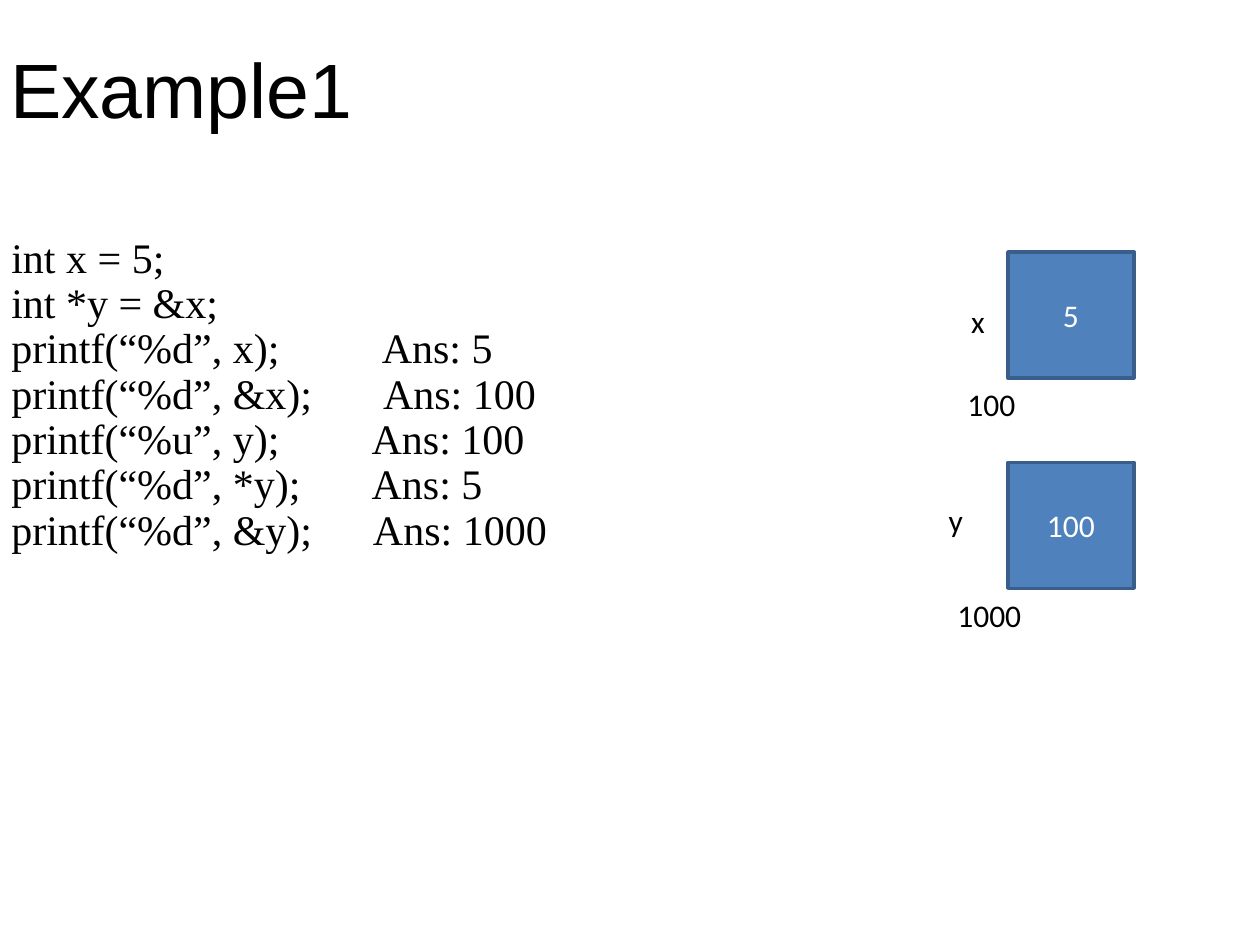
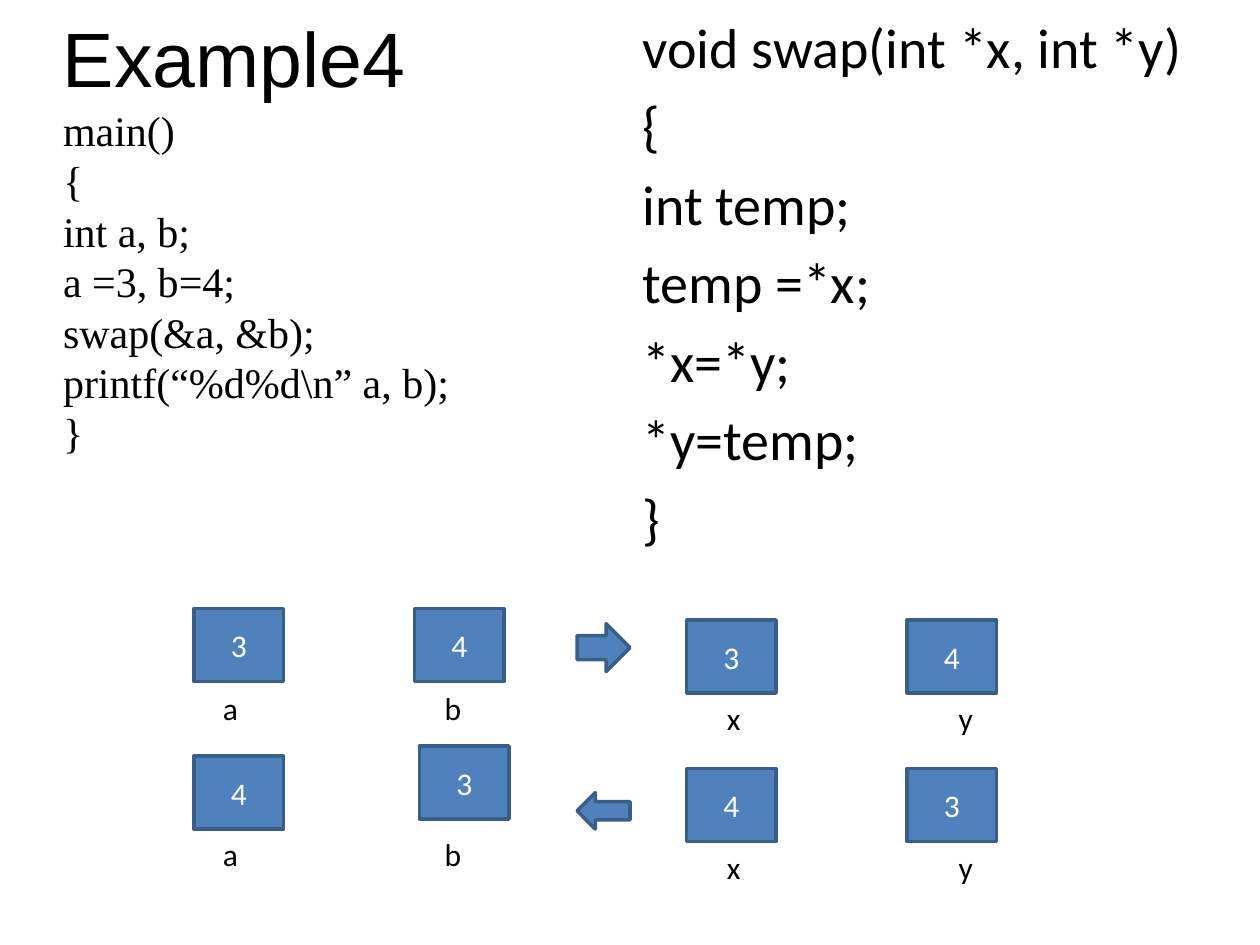
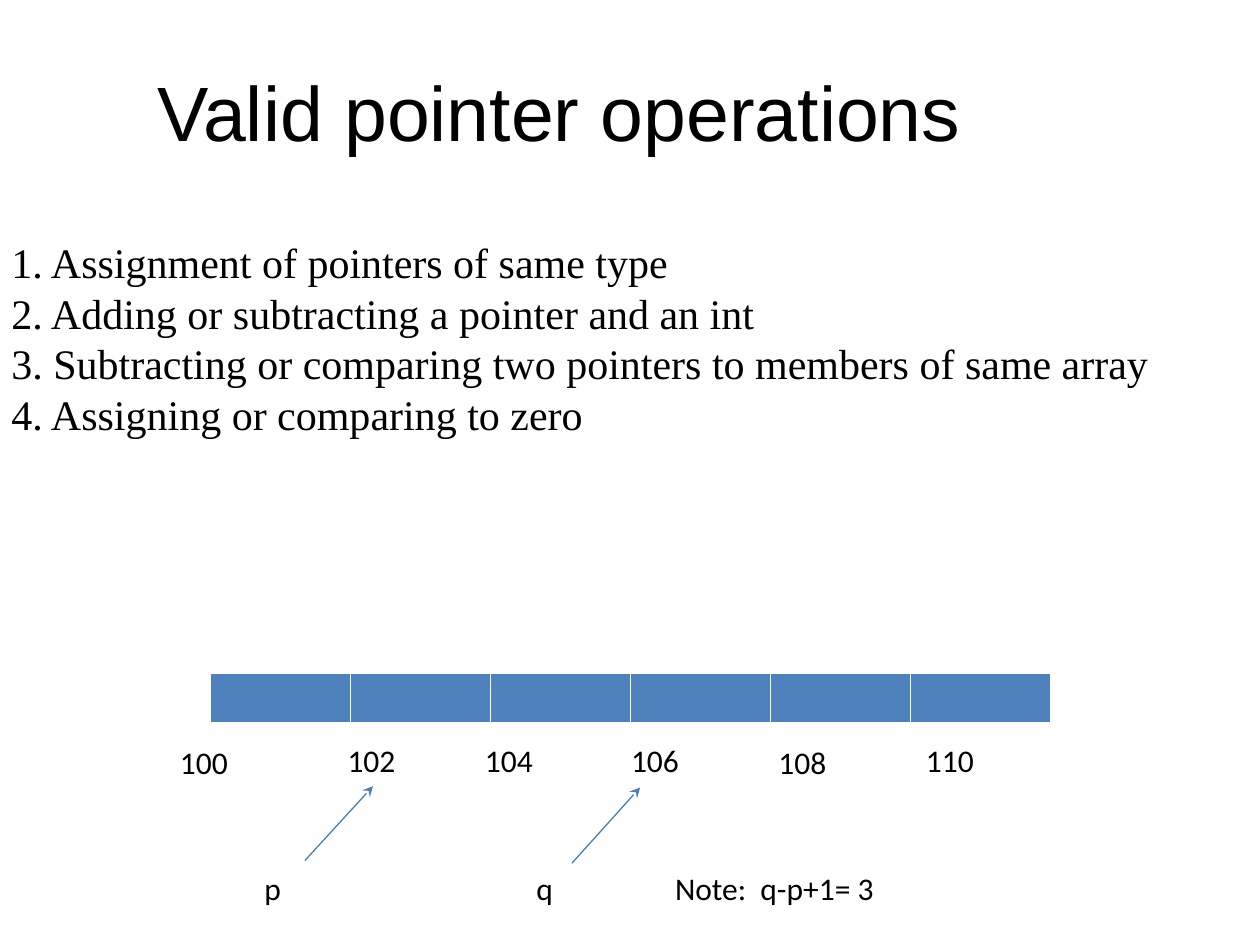
from lxml.etree import SubElement as Sub
from pptx import Presentation
from pptx.dml.color import RGBColor
from pptx.enum.shapes import MSO_CONNECTOR as Conn, MSO_SHAPE as Shape
from pptx.enum.text import MSO_ANCHOR as Anchor, PP_ALIGN as Align
from pptx.oxml.ns import qn
from pptx.util import Emu, Pt

SCALE = 9144  # EMU per px, 100 px to the inch
BLACK = RGBColor(0, 0, 0)
WHITE = RGBColor(255, 255, 255)
BLUE = RGBColor(0x4F, 0x81, 0xBD)
EDGE = RGBColor(0x39, 0x5E, 0x89)
LINE = RGBColor(0x4A, 0x7D, 0xBA)

HEAD = {"name": "Arial", "size": Pt(44)}
CODE = {"name": "Times New Roman", "size": Pt(24)}
LARGE = {"name": "Calibri", "size": Pt(32)}
SMALL = {"name": "Calibri", "size": Pt(18)}
FLUSH = {side: 0 for side in
         ("margin_left", "margin_top", "margin_right", "margin_bottom")}


def px(*nums):
    return [Emu(num * SCALE) for num in nums]


def assign(item, form):
    for key, val in form.items():
        setattr(item, key, val)


class Deck:
    def __init__(self):
        self.prs = Presentation()
        self.prs.slide_width, self.prs.slide_height = px(1000, 750)
        self.shapes = None

    def page(self):
        self.shapes = self.prs.slides.add_slide(
            self.prs.slide_layouts[6]).shapes

    def put(self, frame, lines, font, color=BLACK, form=None):
        """Fill a text frame, one paragraph per line."""
        frame.word_wrap = True
        for i, line in enumerate(lines):
            para = frame.add_paragraph() if i else frame.paragraphs[0]
            run = para.add_run()
            run.text = line
            assign(run.font, font)
            run.font.color.rgb = color
            assign(para, form or {})
        return frame.paragraphs

    def text(self, box, lines, font, form=None, inset=None):
        frame = self.shapes.add_textbox(*px(*box)).text_frame
        assign(frame, inset or {})
        return self.put(frame, lines, font, form=form)

    def title(self, box, words):
        self.text(box, [words], HEAD, inset=FLUSH)

    def body(self, box, lines, form=None):
        return self.text(box, lines, CODE, form, FLUSH)

    def label(self, x, y, words, wide=34):
        self.text((x, y, wide, 40), [words], SMALL)

    def block(self, kind, box):
        shape = self.shapes.add_shape(kind, *px(*box))
        shape.shadow.inherit = False
        shape.fill.solid()
        shape.fill.fore_color.rgb = BLUE
        shape.line.color.rgb = EDGE
        shape.line.width = Pt(2)
        return shape

    def cell(self, box, value):
        frame = self.block(Shape.RECTANGLE, box).text_frame
        frame.vertical_anchor = Anchor.MIDDLE
        self.put(frame, [value], SMALL, WHITE, {"alignment": Align.CENTER})

    def arrow(self, *ends):
        line = self.shapes.add_connector(Conn.STRAIGHT, *px(*ends))
        line.line.color.rgb = LINE
        line.line.width = Pt(0.75)
        props = line._element.spPr
        Sub(props.find(qn("a:ln")), qn("a:tailEnd"), type="stealth")
        Sub(props, qn("a:effectLst"))

    def strip(self, box, count):
        """Draw a row of empty table cells with white borders."""
        table = self.shapes.add_table(1, count, *px(*box)).table
        for cell in table.iter_cells():
            props = cell._tc.get_or_add_tcPr()
            for side, wide in ("lnL", 1), ("lnR", 1), ("lnT", 1), ("lnB", 3):
                edge = Sub(props, qn(f"a:{side}"), w=str(Pt(wide)))
                fill = Sub(edge, qn("a:solidFill"))
                Sub(fill, qn("a:srgbClr"), val=str(WHITE))
            cell.fill.solid()
            cell.fill.fore_color.rgb = BLUE


def add_tab(para, pos):
    tabs = Sub(para._p.get_or_add_pPr(), qn("a:tabLst"))
    Sub(tabs, qn("a:tab"), pos=str(px(pos)[0]), algn="l")


def basics(deck):
    deck.page()
    deck.title((8, 33, 413, 76), "Example1")
    calls = [("“%d”, x", "5", 294), ("“%d”, &x", "100", 295),
             ("“%u”, y", "100", 286), ("“%d”, *y", "5", 286),
             ("“%d”, &y", "1000", 287)]
    lines = ["int x = 5;", "int *y = &x;"]
    lines += [f"printf({args});\tAns: {ans}" for args, ans, _ in calls]
    paras = deck.body((9, 188, 983, 275), lines, {"line_spacing": 0.9})
    for para, (_, _, stop) in zip(paras[2:], calls):
        add_tab(para, stop)
    for y, value in (200, "5"), (367, "100"):
        deck.cell((800, y, 100, 100), value)
    deck.label(758, 301, "100", 59)
    deck.label(750, 468, "1000", 92)
    deck.label(761, 235, "x")
    deck.label(743, 393, "y")


def swap(deck):
    deck.page()
    deck.title((50, 8, 900, 125), "Example4")
    deck.body((50, 83, 425, 495),
              ["main()", "{", "int a, b;", "a =3, b=4;", "swap(&a, &b);",
               "printf(“%d%d\\n” a, b);", "}"])
    paras = deck.text((500, 5, 483, 495),
                      ["void swap(int *x, int *y)", "{", "int temp;",
                       "temp =*x;", "*x=*y;", "*y=temp;", "}"], LARGE)
    for para in paras[1:]:
        para.space_before = Pt(6.4)
    cells = [(154, 483, "3"), (329, 483, "4"), (545, 492, "3"),
             (720, 492, "4"), (154, 600, "4"), (333, 592, "3"),
             (545, 610, "4"), (720, 610, "3")]
    for x, y, value in cells:
        deck.cell((x, y, 71, 58), value)
    names = [("a", 167, 542, 658), ("b", 343, 542, 658),
             ("x", 567, 550, 668), ("y", 751, 550, 668)]
    for name, x, *rows in names:
        for y in rows:
            deck.label(x, y, name)
    deck.block(Shape.RIGHT_ARROW, (458, 495, 42, 38))
    deck.block(Shape.LEFT_ARROW, (458, 629, 42, 29))


def valid(deck):
    deck.page()
    deck.title((125, 51, 758, 148), "Valid pointer operations")
    rules = ["Assignment of pointers of same type",
             "Adding or subtracting a pointer and an int",
             "Subtracting or comparing two pointers to members of same array",
             "Assigning or comparing to zero"]
    deck.body((9, 188, 983, 275),
              [f"{num}. {rule}" for num, rule in enumerate(rules, 1)])
    deck.strip((167, 534, 667, 41), 6)
    spots = [(133, 585), (266, 583), (375, 583),
             (491, 583), (608, 585), (725, 583)]
    for i, (x, y) in enumerate(spots):
        deck.label(x, y, str(100 + 2 * i), 59)
    deck.arrow(242, 683, 296, 624)
    deck.arrow(454, 685, 508, 625)
    for x, words, wide in ((200, "p", 34), (416, "q", 34),
                           (526, "Note:  q-p+1= 3", 180)):
        deck.label(x, 685, words, wide)


def main():
    deck = Deck()
    for build in basics, swap, valid:
        build(deck)
    deck.prs.save("out.pptx")


if __name__ == "__main__":
    main()
